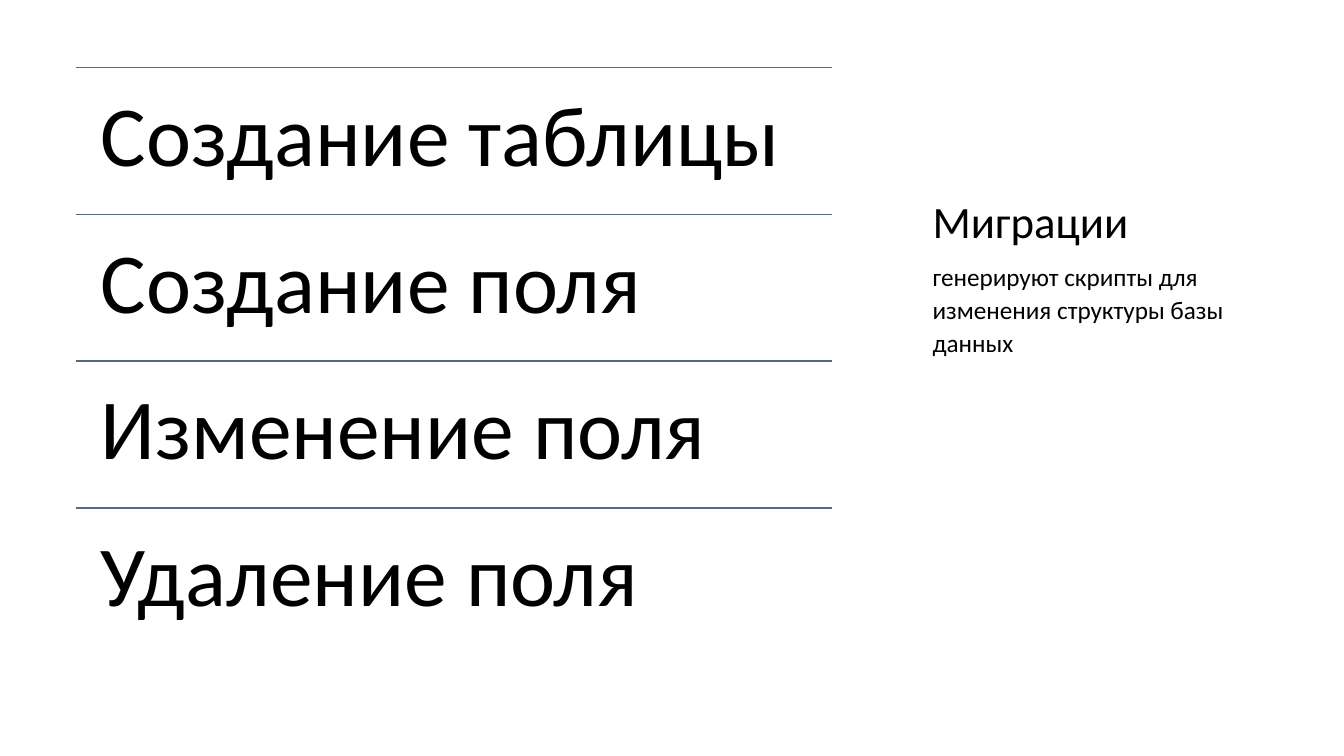
from lxml import etree
from pptx import Presentation
from pptx.dml.color import RGBColor
from pptx.enum.shapes import MSO_CONNECTOR
from pptx.enum.text import MSO_ANCHOR
from pptx.oxml.ns import qn
from pptx.util import Emu, Pt

STRAIGHT = MSO_CONNECTOR.STRAIGHT
TOP = MSO_ANCHOR.TOP
BOTTOM = MSO_ANCHOR.BOTTOM
COLORS = {"text": "000000", "rule": "54688C", "background": "FFFFFF"}
FONT = "Calibri"


def px(value):
    return Emu(value * 9144)


def add_text(slide, box, text, size, inset=0, anchor=TOP, spacing=1.0, before=0):
    shape = slide.shapes.add_textbox(*[px(value) for value in box])
    frame = shape.text_frame
    frame.word_wrap = True
    frame.vertical_anchor = anchor
    frame.margin_left = frame.margin_right = px(inset)
    frame.margin_top = frame.margin_bottom = px(inset)
    paragraph = frame.paragraphs[0]
    paragraph.line_spacing = spacing
    paragraph.space_before = Pt(before)
    run = paragraph.add_run()
    run.text = text
    run.font.name = FONT
    run.font.size = Pt(size)
    run.font.color.rgb = RGBColor.from_string(COLORS["text"])


presentation = Presentation()
presentation.slide_width = px(1333)
presentation.slide_height = px(750)
slide = presentation.slides.add_slide(presentation.slide_layouts[6])
slide.background.fill.solid()
slide.background.fill.fore_color.rgb = RGBColor.from_string(COLORS["background"])

add_text(slide, (925, 66, 346, 180), "Миграции", 32, anchor=BOTTOM)

operations = ["Создание таблицы", "Создание поля", "Изменение поля", "Удаление поля"]
list_left, list_top, list_width, list_height = 75, 67, 750, 583
row_height = list_height / len(operations)

for index, operation in enumerate(operations):
    top = round(list_top + index * row_height)
    rule = slide.shapes.add_connector(
        STRAIGHT, px(list_left), px(top), px(list_left + list_width), px(top)
    )
    rule.line.color.rgb = RGBColor.from_string(COLORS["rule"])
    rule.line.width = Pt(1)
    etree.SubElement(rule._element.spPr, qn("a:effectLst"))
    box = (list_left, top, list_width, round(row_height))
    add_text(slide, box, operation, 61, inset=25, spacing=0.9)

add_text(
    slide,
    (925, 256, 346, 394),
    "генерируют скрипты для изменения структуры базы данных",
    18,
    spacing=1.1,
    before=8,
)

presentation.save("out.pptx")
